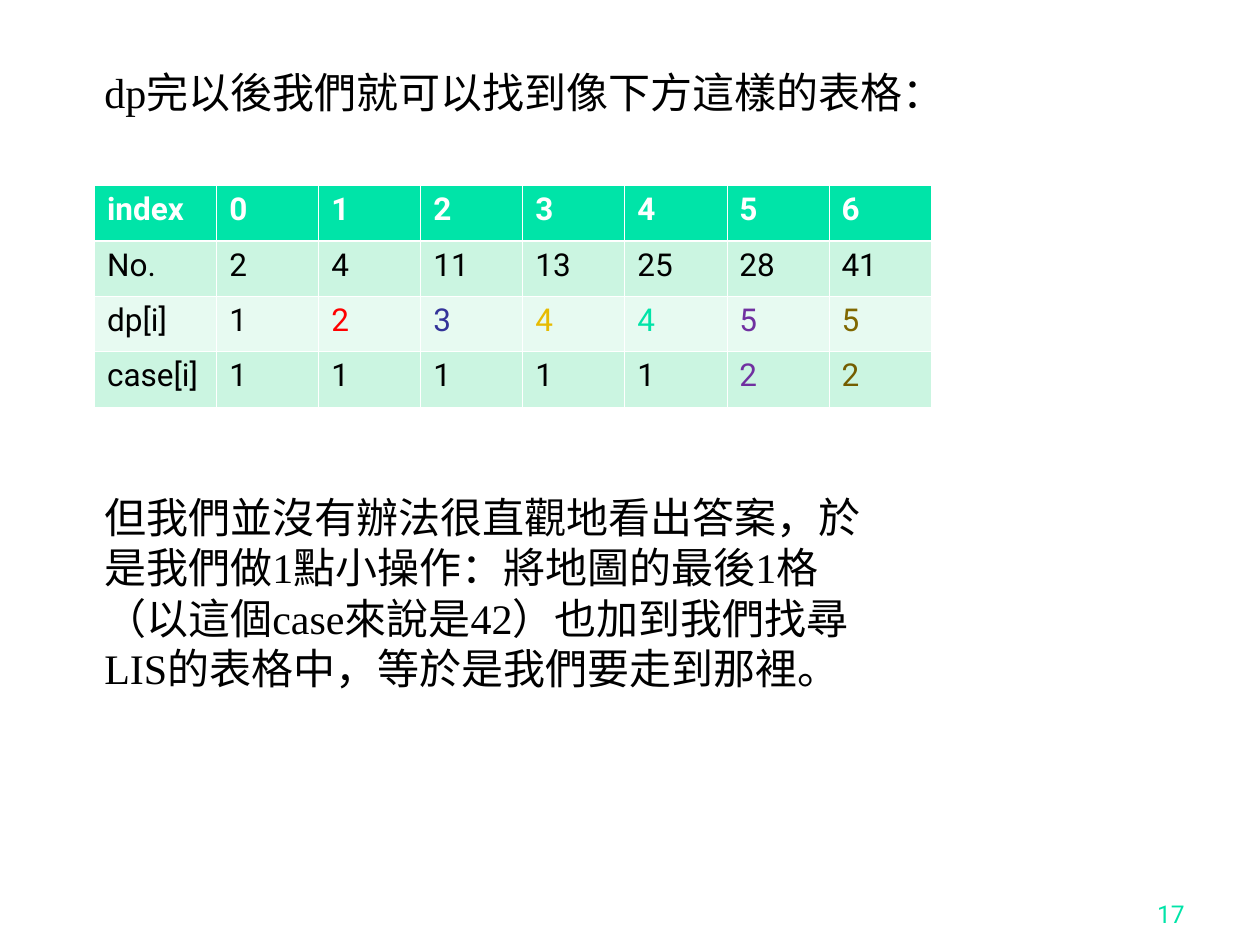
"""Builds the slide showing the finished dp table for the LIS example."""
import pptx
import pptx.util
import pptx.dml.color
import pptx.enum.text
import pptx.oxml
import pptx.oxml.ns

Inches, Pt = pptx.util.Inches, pptx.util.Pt
RGB = pptx.dml.color.RGBColor
ALIGN, ANCHOR = pptx.enum.text.PP_ALIGN, pptx.enum.text.MSO_ANCHOR

BLACK, WHITE = RGB(0, 0, 0), RGB(0xFF, 0xFF, 0xFF)
GREEN, MINT, PALE = RGB(0, 0xE4, 0xA8), RGB(0xCB, 0xF5, 0xE1), RGB(0xE7, 0xFA, 0xF1)
RED, BLUE, GOLD = RGB(0xFF, 0, 0), RGB(0x33, 0x33, 0x99), RGB(0xE7, 0xBB, 0x01)
PURPLE, OLIVE, BROWN = RGB(0x70, 0x30, 0xA0), RGB(0x80, 0x68, 0), RGB(0x74, 0x5D, 0)

SERIF, SANS = "Times New Roman", "Roboto"
INTRO = "dp完以後我們就可以找到像下方這樣的表格："
EXPLANATION = ("但我們並沒有辦法很直觀地看出答案，於是我們做1點小操作：將地圖的最後1格"
               "（以這個case來說是42）也加到我們找尋LIS的表格中，等於是我們要走到那裡。")
PAGE = "17"
ROWS = [
    ["index", "0", "1", "2", "3", "4", "5", "6"],
    ["No.", "2", "4", "11", "13", "25", "28", "41"],
    ["dp[i]", "1", "2", "3", "4", "4", "5", "5"],
    ["case[i]", "1", "1", "1", "1", "1", "2", "2"],
]
FILLS = [GREEN, MINT, PALE, MINT]
ACCENTS = {(2, 2): RED, (2, 3): BLUE, (2, 4): GOLD, (2, 5): GREEN,
           (2, 6): PURPLE, (2, 7): OLIVE, (3, 6): PURPLE, (3, 7): BROWN}
LEFT, TOP, ROW_H = 0.75, 1.47, 0.44
LABEL_W, VALUE_W = 0.97, 0.81
THIN, THICK = 0.45, 1.47


def style(p, size, name, color, bold=False):
    p.font.size, p.font.name, p.font.bold = Pt(size), name, bold
    p.font.color.rgb = color


def add_text(s, box, text, size, name, color):
    tf = s.shapes.add_textbox(*map(Inches, box)).text_frame
    tf.word_wrap = True
    p = tf.paragraphs[0]
    p.text = text
    style(p, size, name, color)
    return tf


def add_borders(cell, row):
    widths = {"L": THIN, "R": THIN, "T": THICK if row == 1 else THIN,
              "B": THICK if row == 0 else THIN}
    tcPr = cell._tc.get_or_add_tcPr()
    for i, (side, width) in enumerate(widths.items()):
        tcPr.insert(i, pptx.oxml.parse_xml(
            f'<a:ln{side} {pptx.oxml.ns.nsdecls("a")} w="{int(Pt(width))}">'
            f'<a:solidFill><a:srgbClr val="{WHITE}"/></a:solidFill></a:ln{side}>'))


def add_dp_table(s):
    widths = [LABEL_W] + [VALUE_W] * (len(ROWS[0]) - 1)
    table = s.shapes.add_table(
        len(ROWS), len(widths), Inches(LEFT), Inches(TOP),
        Inches(sum(widths)), Inches(ROW_H * len(ROWS))).table
    for column, width in zip(table.columns, widths):
        column.width = Inches(width)
    for r, values in enumerate(ROWS):
        table.rows[r].height = Inches(ROW_H)
        for c, value in enumerate(values):
            cell = table.cell(r, c)
            cell.text = value
            cell.fill.solid()
            cell.fill.fore_color.rgb = FILLS[r]
            color = WHITE if r == 0 else ACCENTS.get((r, c), BLACK)
            style(cell.text_frame.paragraphs[0], 18, SANS, color, bold=r == 0)
            add_borders(cell, r)


def main():
    prs = pptx.Presentation()
    prs.slide_width, prs.slide_height = Inches(10), Inches(7.5)
    s = prs.slides.add_slide(prs.slide_layouts[6])
    tf = add_text(s, (0.73, 0.52, 8.58, 0.71), INTRO, 24, SERIF, BLACK)
    tf.paragraphs[0].line_spacing = 0.9
    tf = add_text(s, (7.42, 6.92, 2.08, 0.5), PAGE, 14, SANS, GREEN)
    tf.vertical_anchor = ANCHOR.BOTTOM
    tf.paragraphs[0].alignment = ALIGN.RIGHT
    add_dp_table(s)
    tf = add_text(s, (0.73, 3.85, 6.47, 1.7), EXPLANATION, 24, SERIF, BLACK)
    tf.auto_size = pptx.enum.text.MSO_AUTO_SIZE.SHAPE_TO_FIT_TEXT
    prs.save("out.pptx")


if __name__ == "__main__":
    main()
